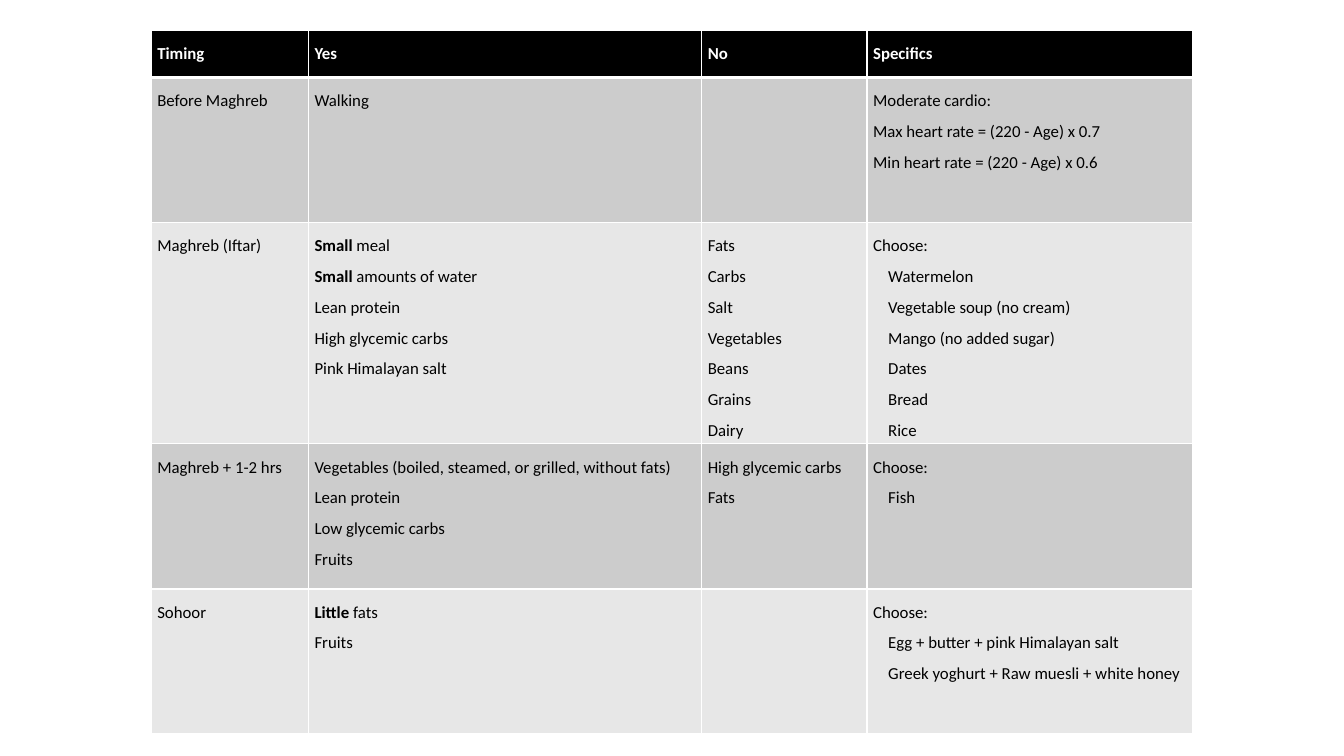
from lxml import etree
from pptx import Presentation
from pptx.dml.color import RGBColor
from pptx.enum.text import MSO_ANCHOR
from pptx.oxml.ns import qn
from pptx.util import Inches, Pt

MIDDLE, TOP = MSO_ANCHOR.MIDDLE, MSO_ANCHOR.TOP

COLORS = {
    "header": "000000",
    "dark band": "CCCCCC",
    "light band": "E7E7E7",
    "border": "FFFFFF",
    "header text": "FFFFFF",
    "body text": "000000",
}
FONT = "Calibri"
FONT_SIZE = Pt(12)
OPTION_INDENT = Inches(0.15)
COLUMN_WIDTHS = [1.56, 3.9, 1.64, 3.23]
ROW_HEIGHTS = [0.47, 1.44, 2.19, 1.44, 1.44]

# Asterisks enclose bold words; a leading ">" marks an indented option.
HEADINGS = ["Timing", "Yes", "No", "Specifics"]
MEAL_PLAN = [
    [
        ["Before Maghreb"],
        ["Walking"],
        [],
        ["Moderate cardio:", "Max heart rate = (220 - Age) x 0.7",
         "Min heart rate = (220 - Age) x 0.6"],
    ],
    [
        ["Maghreb (Iftar)"],
        ["*Small* meal", "*Small* amounts of water", "Lean protein",
         "High glycemic carbs", "Pink Himalayan salt"],
        ["Fats", "Carbs", "Salt", "Vegetables", "Beans", "Grains", "Dairy"],
        ["Choose:", ">Watermelon", ">Vegetable soup (no cream)",
         ">Mango (no added sugar)", ">Dates", ">Bread", ">Rice"],
    ],
    [
        ["Maghreb + 1-2 hrs"],
        ["Vegetables (boiled, steamed, or grilled, without fats)",
         "Lean protein", "Low glycemic carbs", "Fruits"],
        ["High glycemic carbs", "Fats"],
        ["Choose:", ">Fish"],
    ],
    [
        ["Sohoor"],
        ["*Little* fats", "Fruits"],
        [],
        ["Choose:", ">Egg + butter + pink Himalayan salt",
         ">Greek yoghurt + Raw muesli + white honey"],
    ],
]


def add_run(paragraph, text, color, bold):
    """Add one formatted run to a paragraph."""
    run = paragraph.add_run()
    run.text = text
    run.font.name = FONT
    run.font.size = FONT_SIZE
    run.font.bold = bold
    run.font.color.rgb = RGBColor.from_string(COLORS[color])


def set_borders(cell, top=1, bottom=1):
    """Draw the cell borders; top and bottom widths are in points."""
    properties = cell._tc.get_or_add_tcPr()
    for side, width in (("L", 1), ("R", 1), ("T", top), ("B", bottom)):
        line = etree.SubElement(properties, qn(f"a:ln{side}"), w=str(Pt(width)))
        fill = etree.SubElement(line, qn("a:solidFill"))
        etree.SubElement(fill, qn("a:srgbClr"), val=COLORS["border"])


def style_cell(cell, fill, anchor):
    """Set the margins, anchor and background of a cell."""
    cell.margin_left = cell.margin_right = Inches(0.06)
    cell.margin_top = cell.margin_bottom = Inches(0.03)
    cell.vertical_anchor = anchor
    cell.fill.solid()
    cell.fill.fore_color.rgb = RGBColor.from_string(COLORS[fill])


def write_entries(cell, entries):
    """Write one paragraph per entry, with bold words and indented options."""
    frame = cell.text_frame
    for index, entry in enumerate(entries):
        paragraph = frame.add_paragraph() if index else frame.paragraphs[0]
        paragraph.line_spacing = 1.5
        if entry.startswith(">"):
            paragraph._p.get_or_add_pPr().set("marL", str(OPTION_INDENT))
        for part, words in enumerate(entry.lstrip(">").split("*")):
            if words:
                add_run(paragraph, words, "body text", part % 2 == 1)


def add_plan_table(slide):
    """Add the sized, empty table and return it."""
    table = slide.shapes.add_table(
        len(ROW_HEIGHTS), len(COLUMN_WIDTHS), Inches(1.5), Inches(0.3),
        Inches(sum(COLUMN_WIDTHS)), Inches(sum(ROW_HEIGHTS))).table
    table.horz_banding = False
    for column, width in zip(table.columns, COLUMN_WIDTHS):
        column.width = Inches(width)
    for row, height in zip(table.rows, ROW_HEIGHTS):
        row.height = Inches(height)
    return table


def fill_header(table):
    """Write the heading row."""
    for column, heading in enumerate(HEADINGS):
        cell = table.cell(0, column)
        set_borders(cell, bottom=3)
        style_cell(cell, "header", MIDDLE)
        add_run(cell.text_frame.paragraphs[0], heading, "header text", True)


def fill_body(table):
    """Write the meal plan on alternating bands."""
    for row, timing in enumerate(MEAL_PLAN, start=1):
        band = "dark band" if row % 2 else "light band"
        for column, entries in enumerate(timing):
            cell = table.cell(row, column)
            set_borders(cell, top=3 if row == 1 else 1)
            style_cell(cell, band, TOP)
            write_entries(cell, entries)


def main():
    """Build and save the slide."""
    presentation = Presentation()
    presentation.slide_width = Inches(13.33)
    presentation.slide_height = Inches(7.5)
    slide = presentation.slides.add_slide(presentation.slide_layouts[6])
    table = add_plan_table(slide)
    fill_header(table)
    fill_body(table)
    presentation.save("out.pptx")


main()
